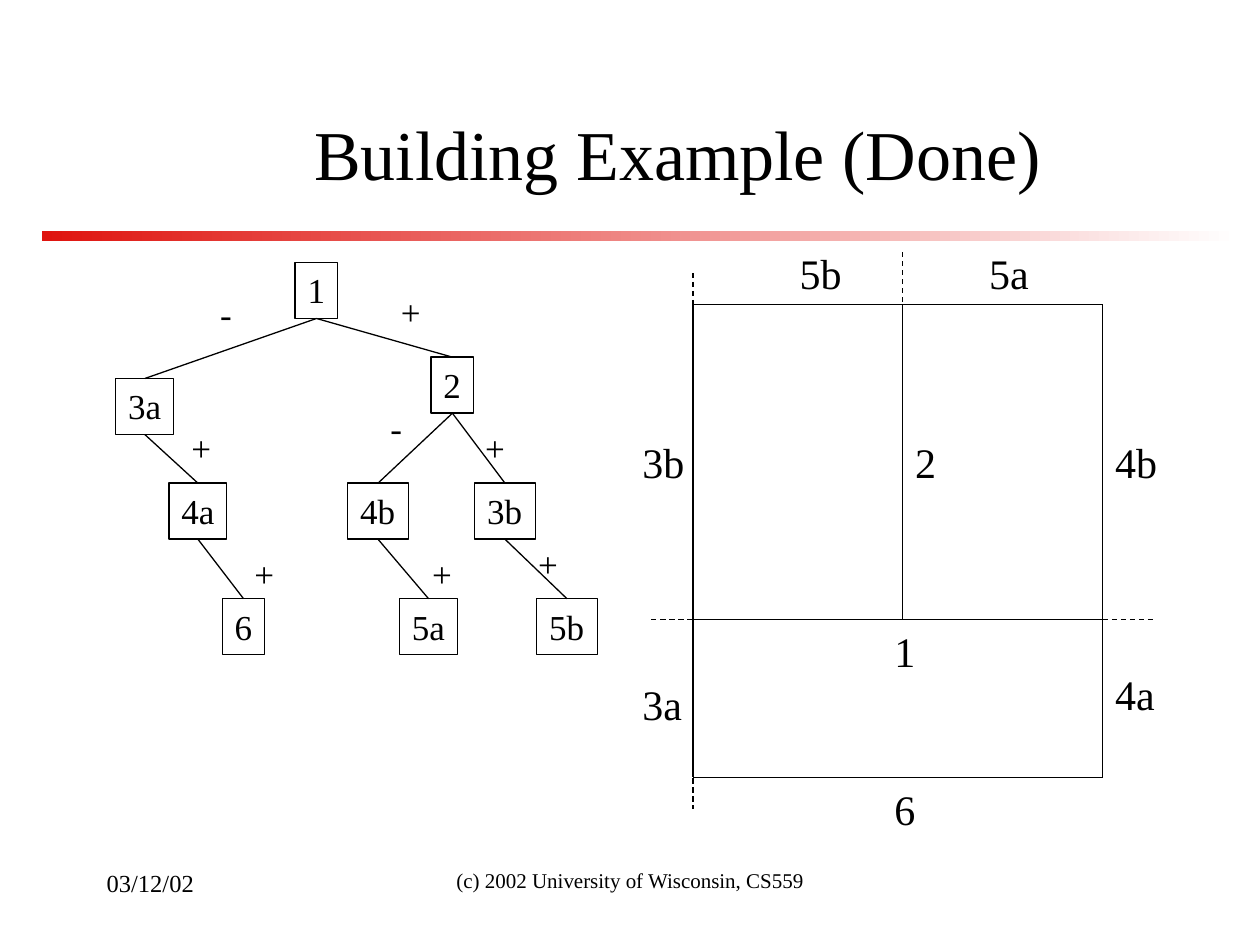
from pptx import Presentation
from pptx.dml.color import RGBColor
from pptx.enum.dml import MSO_LINE
from pptx.enum.shapes import MSO_CONNECTOR, MSO_SHAPE
from pptx.enum.text import MSO_ANCHOR, MSO_AUTO_SIZE, PP_ALIGN
from pptx.oxml.ns import qn
from pptx.util import Cm, Pt
from lxml import etree

LEFT, CENTER = PP_ALIGN.LEFT, PP_ALIGN.CENTER
TOP, MIDDLE = MSO_ANCHOR.TOP, MSO_ANCHOR.MIDDLE
FIT_SHAPE = MSO_AUTO_SIZE.SHAPE_TO_FIT_TEXT
RECTANGLE, STRAIGHT, DASH = MSO_SHAPE.RECTANGLE, MSO_CONNECTOR.STRAIGHT, MSO_LINE.DASH

FONT = "Times New Roman"
BLACK, WHITE, RED = "000000", "FFFFFF", "DF140F"
LINE_WIDTH = Pt(0.74)

# Tree nodes: centre x, top, width (cm, relative to the tree box)
NODE_HEIGHT = 1.13
NODES = {
    "1": (4.04, 0, 0.86),
    "2": (6.78, 1.91, 0.86),
    "3a": (0.58, 2.34, 1.17),
    "4a": (1.65, 4.45, 1.17),
    "4b": (5.28, 4.45, 1.22),
    "3b": (7.84, 4.45, 1.22),
    "6": (2.57, 6.78, 0.86),
    "5a": (6.3, 6.78, 1.17),
    "5b": (9.09, 6.78, 1.22),
}
# Tree branches: parent, child, sign, sign left, sign top
BRANCHES = [
    ("1", "3a", "-", 1.85, 0.48),
    ("1", "2", "+", 5.49, 0.43),
    ("2", "4b", "-", 5.28, 2.77),
    ("2", "3b", "+", 7.19, 3.18),
    ("3a", "4a", "+", 1.27, 3.18),
    ("4a", "6", "+", 2.54, 5.72),
    ("4b", "5a", "+", 6.12, 5.72),
    ("3b", "5b", "+", 8.26, 5.51),
]
SIGN_WIDTHS = {"-": 0.74, "+": 0.89}


def color(value):
    return RGBColor.from_string(value)


def set_format(target, values):
    for name, value in values.items():
        setattr(target, name, value)


def write(shape, text, size, alignment=LEFT, anchor=TOP, wrap=False):
    frame = shape.text_frame
    set_format(frame, {
        "text": text,
        "word_wrap": wrap,
        "vertical_anchor": anchor,
        "margin_left": Cm(0.25), "margin_right": Cm(0.25),
        "margin_top": Cm(0.13), "margin_bottom": Cm(0.13),
    })
    if not wrap:
        frame.auto_size = FIT_SHAPE
    paragraph = frame.paragraphs[0]
    paragraph.alignment = alignment
    font = paragraph.runs[0].font
    set_format(font, {"name": FONT, "size": Pt(size)})
    font.color.rgb = color(BLACK)


def add_text(slide, left, top, width, height, text, size, **options):
    shape = slide.shapes.add_textbox(Cm(left), Cm(top), Cm(width), Cm(height))
    write(shape, text, size, **options)


def add_line(slide, x1, y1, x2, y2, dash=None):
    line = slide.shapes.add_connector(STRAIGHT, Cm(x1), Cm(y1), Cm(x2), Cm(y2))
    set_format(line.line, {"width": LINE_WIDTH, "dash_style": dash})
    line.line.color.rgb = color(BLACK)
    etree.SubElement(line._element.spPr, qn("a:effectLst"))


def add_heading(slide, left, top, width, height):
    title = slide.shapes.title
    set_format(title, {"left": Cm(left), "top": Cm(top),
                       "width": Cm(width), "height": Cm(height)})
    write(title, "Building Example (Done)", 40, CENTER, MIDDLE, True)


def add_rule(slide, left, top, width, height):
    bar = slide.shapes.add_shape(RECTANGLE, Cm(left), Cm(top), Cm(width), Cm(height))
    bar.shadow.inherit = False
    bar.line.fill.background()
    bar.fill.gradient()
    bar.fill.gradient_angle = 180
    for stop, value in zip(bar.fill.gradient_stops, (WHITE, RED)):
        stop.color.rgb = color(value)


def add_tree(slide, left, top):
    # Branches with their signs
    for parent, child, sign, sign_x, sign_y in BRANCHES:
        parent_x, parent_y, _ = NODES[parent]
        child_x, child_y, _ = NODES[child]
        add_line(slide, left + parent_x, top + parent_y + NODE_HEIGHT,
                 left + child_x, top + child_y)
        add_text(slide, left + sign_x, top + sign_y,
                 SIGN_WIDTHS[sign], NODE_HEIGHT, sign, 20)
    # Nodes
    for name, (center, node_top, width) in NODES.items():
        node = slide.shapes.add_shape(
            RECTANGLE, Cm(left + center - width / 2), Cm(top + node_top),
            Cm(width), Cm(NODE_HEIGHT))
        node.shadow.inherit = False
        node.fill.background()
        node.line.width = LINE_WIDTH
        node.line.color.rgb = color(BLACK)
        write(node, name, 20)


def add_floor_plan(slide, left, top, width, height):
    split_x, split_y = 4.23, 6.35
    walls = [
        (0, 0, width, 0), (0, 0, 0, height),
        (0, height, width, height), (width, 0, width, height),
        (0, split_y, width, split_y), (split_x, 0, split_x, split_y),
    ]
    planes = [
        (-0.84, split_y, width + 1.06, split_y),
        (split_x, -1.06, split_x, split_y),
        (0, -0.64, 0, height + 0.64),
    ]
    for lines, dash in ((walls, None), (planes, DASH)):
        for x1, y1, x2, y2 in lines:
            add_line(slide, left + x1, top + y1, left + x2, top + y2, dash)

    # Wall labels
    label_height = 1.27
    labels = {
        "1": (3.81, split_y), "2": (split_x, 2.54), "6": (3.81, height),
        "3a": (-1.27, 7.4), "3b": (-1.27, 2.54),
        "4a": (width, 7.2), "4b": (width, 2.54),
        "5a": (5.72, -label_height), "5b": (1.9, -label_height),
    }
    for name, (x, y) in labels.items():
        label_width = {"a": 1.3, "b": 1.35}.get(name[-1], 0.91)
        add_text(slide, left + x, top + y, label_width, label_height, name, 24)


def add_footer(slide, left, top, height):
    add_text(slide, left, top, 5.28, height, "03/12/02", 14, wrap=True)
    add_text(slide, left + 6.78, top, 8.05, height,
             "(c) 2002 University of Wisconsin, CS559", 12,
             alignment=CENTER, wrap=True)


presentation = Presentation()
presentation.slide_width, presentation.slide_height = Cm(25.4), Cm(19.05)
slide = presentation.slides.add_slide(presentation.slide_layouts[5])

add_rule(slide, 0.85, 4.66, 24.13, 0.2)
add_heading(slide, 3.39, 1.69, 20.53, 2.75)
add_floor_plan(slide, 13.97, 6.14, 8.26, 9.53)
add_tree(slide, 2.34, 5.29)
add_footer(slide, 1.9, 17.36, 1.27)

presentation.save("out.pptx")
